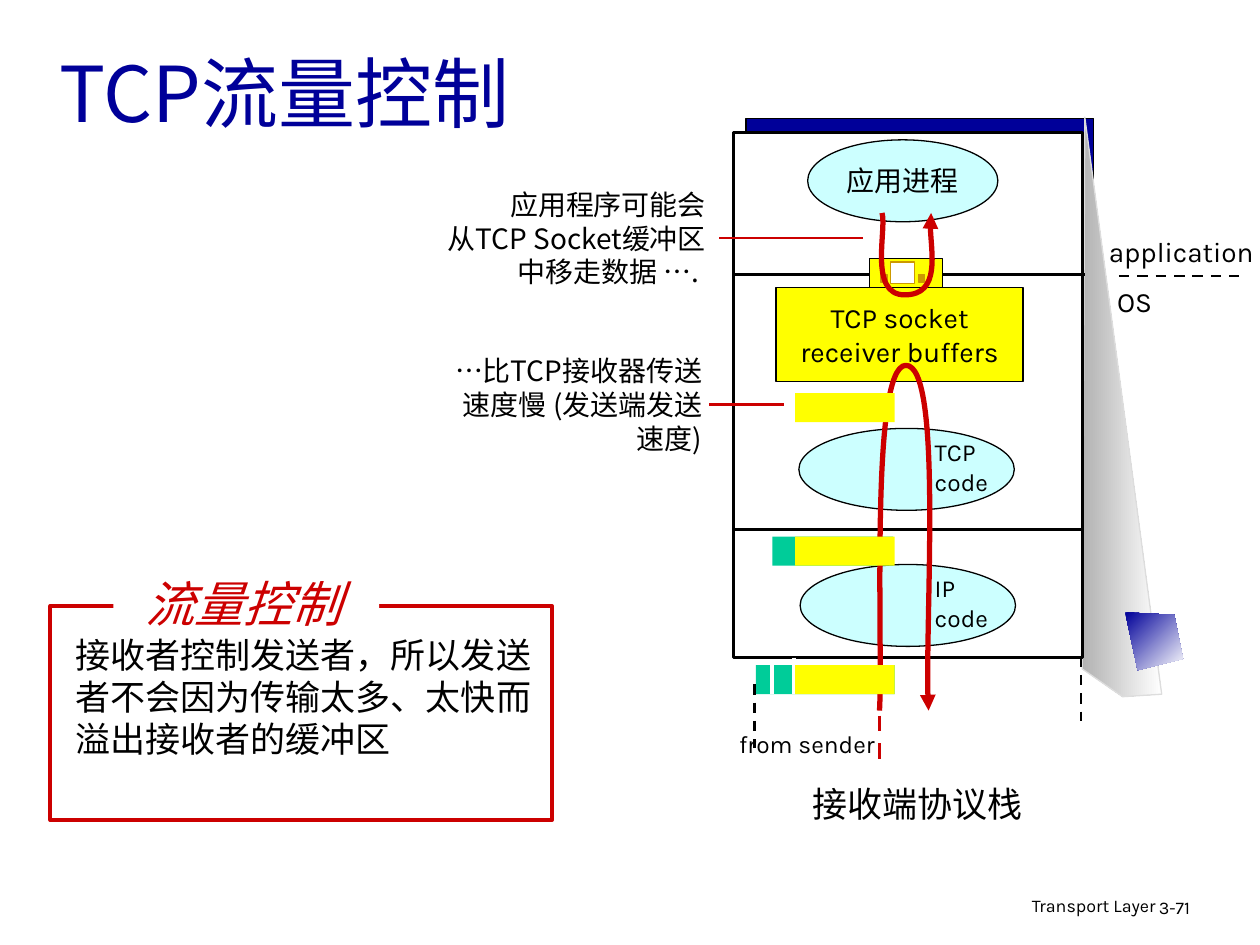
from lxml import etree
from pptx import Presentation
from pptx.dml.color import RGBColor
from pptx.enum import dml, shapes, text
from pptx.oxml.ns import qn
from pptx.util import Inches, Pt

NAVY = RGBColor(0x00, 0x00, 0x99)
BLACK = RGBColor(0x00, 0x00, 0x00)
WHITE = RGBColor(0xFF, 0xFF, 0xFF)
GREY = RGBColor(0xB2, 0xB2, 0xB2)
PALE_GREY = RGBColor(0xDD, 0xDD, 0xDD)
CYAN = RGBColor(0xCC, 0xFF, 0xFF)
YELLOW = RGBColor(0xFF, 0xFF, 0x00)
GREEN = RGBColor(0x00, 0xCC, 0x99)
GOLD = RGBColor(0xCC, 0x99, 0x00)
RED = RGBColor(0xCC, 0x00, 0x00)
LATIN, CJK = "Karla", "Noto Sans CJK SC"
LEFT, CENTER, RIGHT = text.PP_ALIGN.LEFT, text.PP_ALIGN.CENTER, text.PP_ALIGN.RIGHT
RECT, OVAL = shapes.MSO_SHAPE.RECTANGLE, shapes.MSO_SHAPE.OVAL

deck = Presentation()
deck.slide_width, deck.slide_height = Inches(10), Inches(7.5)
page = deck.slides.add_slide(deck.slide_layouts[5])


def add_block(kind, left, top, width, height, fill, line=None, weight=0.75):
    block = page.shapes.add_shape(kind, Inches(left), Inches(top), Inches(width), Inches(height))
    block.shadow.inherit = False
    block.fill.solid()
    block.fill.fore_color.rgb = fill
    if line is None:
        block.line.fill.background()
    else:
        block.line.color.rgb = line
        block.line.width = Pt(weight)
    return block


def write(box, lines, size, font, align=CENTER, color=BLACK, italic=None):
    """Write one paragraph per line, with the font set for Latin and East Asian text."""
    frame = box.text_frame
    for index, line in enumerate(lines):
        para = frame.paragraphs[0] if index == 0 else frame.add_paragraph()
        para.alignment = align
        span = para.add_run()
        span.text = line
        span.font.size = Pt(size)
        span.font.italic = italic
        span.font.color.rgb = color
        span.font.name = font
        etree.SubElement(span.font._element, qn("a:ea"), typeface=font)


# Title
title = page.shapes.title
title.left, title.top, title.width, title.height = Inches(0.37), Inches(0.19), Inches(8.5), Inches(1.07)
title.text_frame.vertical_anchor = text.MSO_ANCHOR.MIDDLE
write(title, ["TCP流量控制"], 44, CJK, LEFT, NAVY)

# Receiver stack: back plate, slanted shade, front plate; corner tile beside it
add_block(RECT, 5.92, 0.94, 2.76, 4.22, NAVY, BLACK)
for points, first, angle, edge in (
    ([(9.22, 5.51), (8.61, 0.93), (8.59, 5.31), (8.91, 5.53)], GREY, 0, PALE_GREY),
    ([(8.93, 4.86), (9.32, 4.88), (9.39, 5.23), (9.03, 5.32)], NAVY, 315, None),
):
    corners = [(Inches(x), Inches(y)) for x, y in points]
    builder = page.shapes.build_freeform(*corners[0])
    builder.add_line_segments(corners[1:], close=True)
    facet = builder.convert_to_shape()
    facet.shadow.inherit = False
    facet.fill.gradient()
    facet.fill.gradient_angle = angle
    for stop, color in zip(facet.fill.gradient_stops, (first, WHITE)):
        stop.color.rgb = color
    if edge is None:
        facet.line.fill.background()
    else:
        facet.line.color.rgb = edge
        facet.line.width = Pt(0.75)
add_block(RECT, 5.82, 1.05, 2.77, 4.17, WHITE, BLACK, 1.5)

# Processes and buffer
process = add_block(OVAL, 6.41, 1.11, 1.51, 0.65, CYAN, BLACK)
write(process, ["应用进程"], 16, CJK)
buffers = add_block(RECT, 6.16, 2.28, 1.96, 0.75, YELLOW, BLACK)
write(buffers, ["TCP socket", "receiver buffers"], 16, LATIN)
for block in (process, buffers):
    block.text_frame.word_wrap = False
    block.text_frame.vertical_anchor = text.MSO_ANCHOR.MIDDLE
add_block(OVAL, 6.34, 3.4, 1.71, 0.65, CYAN, BLACK)
add_block(OVAL, 6.35, 4.48, 1.71, 0.65, CYAN, BLACK)

# Segment headers
add_block(RECT, 6.13, 4.26, 0.96, 0.23, GREEN)
add_block(RECT, 6, 5.28, 1.1, 0.23, GREEN)

# Definition box, with a gap in its top edge for the heading
add_block(RECT, 0.4, 4.81, 3.98, 1.7, WHITE, RED, 2.25)
add_block(RECT, 0.9, 4.69, 2.11, 0.39, WHITE)

# Straight lines: x1, y1, x2, y2, colour, weight, dashed
for x1, y1, x2, y2, color, weight, dashed in (
    (5.82, 4.2, 8.6, 4.2, BLACK, 1.5, False),
    (5.83, 2.18, 8.61, 2.18, BLACK, 1.5, False),
    (6.13, 5.28, 6.13, 5.51, WHITE, 2.25, False),
    (6.3, 5.22, 6.3, 5.51, WHITE, 2.25, False),
    (5.71, 1.89, 6.85, 1.89, RED, 1.5, False),
    (5.63, 3.21, 6.22, 3.21, RED, 1.5, False),
    (6.98, 5.68, 6.98, 6.06, RED, 2.25, True),
    (8.88, 2.19, 9.83, 2.19, BLACK, 1.5, True),
    (5.99, 5.43, 5.99, 5.94, BLACK, 1.5, True),
    (8.58, 5.21, 8.58, 5.72, BLACK, 1.5, True),
):
    rule = page.shapes.add_connector(
        shapes.MSO_CONNECTOR.STRAIGHT, Inches(x1), Inches(y1), Inches(x2), Inches(y2))
    rule.line.color.rgb = color
    rule.line.width = Pt(weight)
    if dashed:
        rule.line.dash_style = dml.MSO_LINE.DASH
    etree.SubElement(rule.element.spPr, qn("a:effectLst"))

# Socket door
add_block(RECT, 6.9, 2.05, 0.58, 0.23, YELLOW, BLACK)
add_block(RECT, 7.07, 2.08, 0.19, 0.17, WHITE, GOLD)
for left in (6.99, 7.29):
    add_block(RECT, left, 2.18, 0.05, 0.06, GOLD, GOLD)

# Data flow: each curve is a start point and two Bezier segments, with an arrow at the end
for points in (
    [(6.98, 5.64), (7.01, 5.18), (6.9, 2.9), (7.19, 2.9), (7.48, 2.9), (7.33, 5.07), (7.37, 5.64)],
    [(7, 1.69), (7.04, 1.82), (6.89, 2.34), (7.18, 2.34), (7.47, 2.34), (7.36, 1.8), (7.39, 1.69)],
):
    knots = [(Inches(x), Inches(y)) for x, y in points]
    builder = page.shapes.build_freeform(*knots[0])
    builder.add_line_segments(knots[1:], close=False)
    flow = builder.convert_to_shape()
    flow.shadow.inherit = False
    flow.fill.background()
    flow.line.color.rgb = RED
    flow.line.width = Pt(3)
    etree.SubElement(flow.element.spPr.find(qn("a:ln")), qn("a:tailEnd"), type="triangle")
    outline = flow.element.find(".//" + qn("a:path"))
    segments = outline.findall(qn("a:lnTo"))
    for start in range(0, len(segments), 3):
        curve = etree.SubElement(outline, qn("a:cubicBezTo"))
        for segment in segments[start:start + 3]:
            curve.append(segment[0])
            outline.remove(segment)

# Segment data
for top in (3.12, 4.26, 5.28):
    add_block(RECT, 6.31, top, 0.79, 0.23, YELLOW)

# Labels: left, top, width, height, lines, size, font, alignment, wrap
for left, top, width, height, lines, size, font, align, wrap in (
    (7.32, 3.42, 0.64, 0.57, ["TCP", "code"], 14, LATIN, LEFT, False),
    (7.32, 4.5, 0.64, 0.57, ["IP", "code"], 14, LATIN, LEFT, False),
    (8.7, 1.81, 1.35, 0.37, ["application"], 16, LATIN, CENTER, False),
    (8.76, 2.21, 0.49, 0.37, ["OS"], 16, LATIN, CENTER, False),
    (5.74, 5.74, 1.33, 0.34, ["from sender"], 14, LATIN, CENTER, False),
    (6.35, 6.16, 1.87, 0.44, ["接收端协议栈"], 20, CJK, CENTER, False),
    (3.34, 1.44, 2.36, 0.9, ["应用程序可能会", "从TCP Socket缓冲区", "中移走数据 …. "], 16, CJK, RIGHT, True),
    (3.39, 2.76, 2.28, 0.9, ["…比TCP接收器传送速度慢 (发送端发送速度)"], 16, CJK, RIGHT, True),
    (0.5, 4.98, 3.93, 1.1, ["接收者控制发送者，所以发送者不会因为传输太多、太快而溢出接收者的缓冲区"], 20, CJK, LEFT, True),
    (1.06, 4.5, 1.75, 0.57, ["流量控制"], 28, CJK, CENTER, False),
    (6.1, 7.05, 3.17, 0.31, ["Transport Layer"], 10.2, LATIN, RIGHT, True),
    (9.1, 7.07, 0.74, 0.3, ["3-71"], 10.2, LATIN, LEFT, True),
):
    box = page.shapes.add_textbox(Inches(left), Inches(top), Inches(width), Inches(height))
    box.text_frame.word_wrap = wrap
    box.text_frame.auto_size = text.MSO_AUTO_SIZE.SHAPE_TO_FIT_TEXT
    heading = size == 28
    write(box, lines, size, font, align, RED if heading else BLACK, heading)

deck.save("out.pptx")
